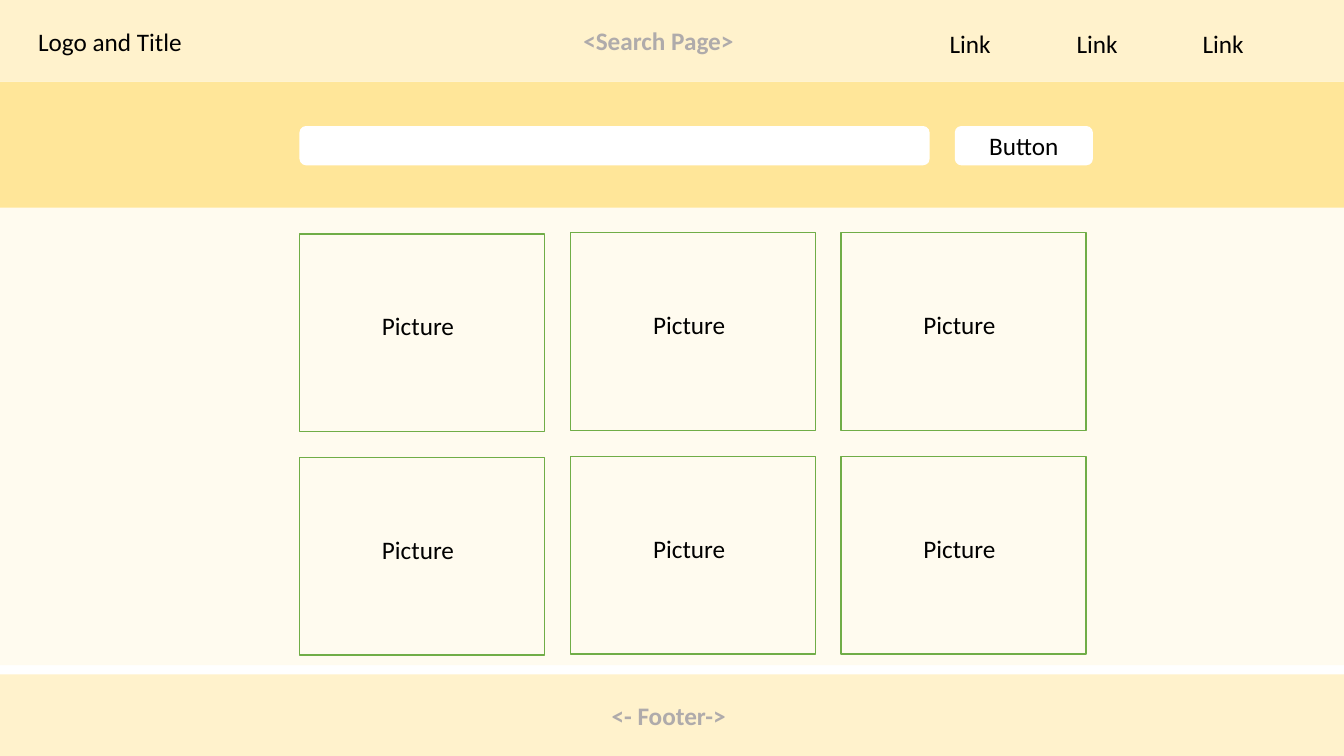
from pptx import Presentation
from pptx.dml.color import RGBColor
from pptx.enum.shapes import MSO_SHAPE
from pptx.enum.text import MSO_ANCHOR, MSO_AUTO_SIZE, PP_ALIGN
from pptx.util import Inches, Pt

COLORS = {
    "bar": "FFF2CC",
    "band": "FFE699",
    "body": "FFFBEF",
    "white": "FFFFFF",
    "green": "70AD47",
    "black": "000000",
    "gray": "AFABAB",
}


class Page:
    font = "Calibri"
    size = Pt(18)

    def __init__(self, slide):
        self.shapes = slide.shapes

    def color(self, name):
        return RGBColor.from_string(COLORS[name])

    def add_text(self, frame, text, color="black", bold=False, center=False):
        para = frame.paragraphs[0]
        para.alignment = PP_ALIGN.CENTER if center else PP_ALIGN.LEFT
        run = para.add_run()
        run.text = text
        run.font.name = self.font
        run.font.size = self.size
        run.font.bold = bold
        run.font.color.rgb = self.color(color)

    def box(self, left, top, width, height, fill=None, line=None, rounded=False):
        kind = MSO_SHAPE.ROUNDED_RECTANGLE if rounded else MSO_SHAPE.RECTANGLE
        shape = self.shapes.add_shape(
            kind, Inches(left), Inches(top), Inches(width), Inches(height))
        shape.shadow.inherit = False
        if fill:
            shape.fill.solid()
            shape.fill.fore_color.rgb = self.color(fill)
        else:
            shape.fill.background()
        if line:
            shape.line.color.rgb = self.color(line)
            shape.line.width = Pt(1)
        else:
            shape.line.fill.background()
        return shape

    def button(self, left, top, width, height, text):
        shape = self.box(left, top, width, height, "white", rounded=True)
        shape.text_frame.vertical_anchor = MSO_ANCHOR.MIDDLE
        self.add_text(shape.text_frame, text, center=True)

    def label(self, left, top, width, text, **style):
        area = self.shapes.add_textbox(
            Inches(left), Inches(top), Inches(width), Inches(0.4))
        frame = area.text_frame
        frame.word_wrap = True
        frame.auto_size = MSO_AUTO_SIZE.SHAPE_TO_FIT_TEXT
        self.add_text(frame, text, **style)

    def heading(self, left, top, width, text):
        self.label(left, top, width, text, color="gray", bold=True, center=True)

    def card(self, left, top):
        self.box(left, top, 2.43, 1.96, line="green")
        self.label(left + 0.72, top + 0.71, 1, "Picture")


def main():
    deck = Presentation()
    deck.slide_width = Inches(13.33)
    deck.slide_height = Inches(7.5)
    page = Page(deck.slides.add_slide(deck.slide_layouts[6]))

    for top, height, fill in ((0.81, 1.26, "band"), (0, 0.81, "bar"),
                              (2.06, 4.54, "body"), (6.69, 0.81, "bar")):
        page.box(0, top, 13.33, height, fill)

    page.label(0.28, 0.21, 2.69, "Logo and Title")
    for left in (9.32, 10.58, 11.83):
        page.label(left, 0.23, 1.04, "Link")

    for row in range(2):
        for left, top in ((2.97, 2.32), (5.66, 2.31), (8.34, 2.31)):
            page.card(left, top + row * 2.22)

    page.button(9.47, 1.25, 1.37, 0.39, "Button")
    page.box(2.97, 1.25, 6.25, 0.39, "white", rounded=True)

    page.heading(5.84, 6.9, 1.64, "<- Footer-> ")
    page.heading(5.57, 0.2, 1.92, "<Search Page>")

    deck.save("out.pptx")


if __name__ == "__main__":
    main()
